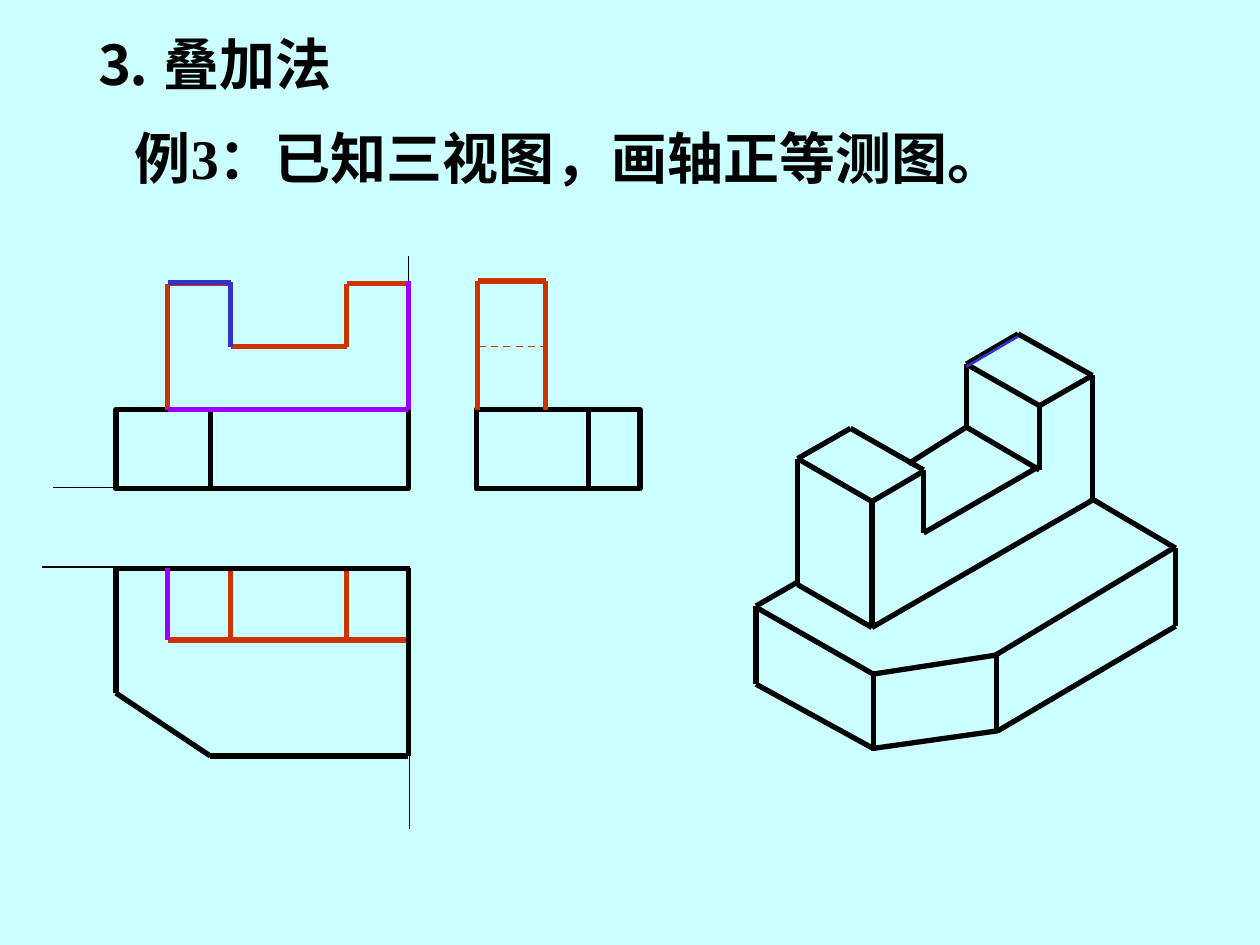
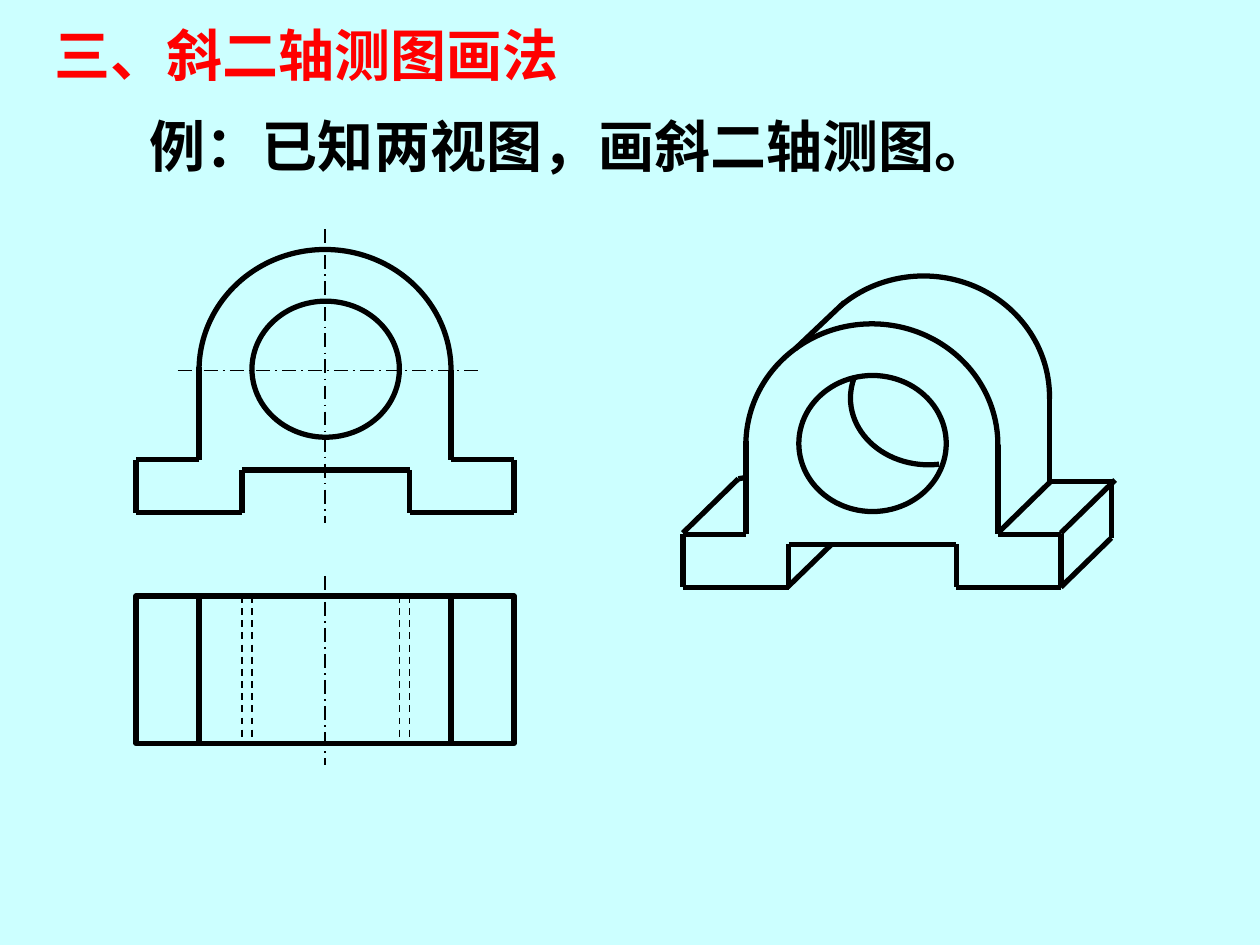
from dataclasses import dataclass
from itertools import pairwise

from lxml.etree import SubElement
from pptx import Presentation
from pptx.dml.color import RGBColor as RGB
from pptx.enum.dml import MSO_LINE as Dash
from pptx.enum.shapes import MSO_CONNECTOR as Conn, MSO_SHAPE as Shape
from pptx.enum.text import MSO_ANCHOR as Anchor, MSO_AUTO_SIZE as Fit, PP_ALIGN as Align
from pptx.oxml.ns import qn
from pptx.util import Cm, Pt


@dataclass(frozen=True)
class Theme:
    paper: str = "CCFFFF"
    ink: str = "000000"
    heading: str = "FF0000"
    upright: str = "CC3300"
    joint: str = "9900FF"
    notch: str = "3333CC"
    size: int = 32
    latin: str = "Times New Roman"
    cjk: str = "Noto Sans CJK SC"


T = Theme()

# Pens: colour, width in points, dash
PENS = {
    "outline": (T.ink, 3, None),
    "axis": (T.ink, 0.75, None),
    "hidden": (T.ink, 1, Dash.DASH),
    "centre": (T.ink, 1, Dash.LONG_DASH_DOT),
    "upright": (T.upright, 3, None),
    "upright hidden": (T.upright, 1, Dash.DASH),
    "joint": (T.joint, 3, None),
    "notch": (T.notch, 3, None),
    "notch thin": (T.notch, 1.5, None),
    "mask": (T.paper, 3, None),
}

# Texts: wording, box, colour, latin font
STACKING_TEXTS = [
    ("⒊ 叠加法", (0.65, 0.18, 2.1, 0.64), T.ink, T.latin),
    ("例3：已知三视图，画轴正等测图。", (0.97, 0.93, 7.31, 0.64), T.ink, T.latin),
]
OBLIQUE_TEXTS = [
    ("三、斜二轴测图画法", (0.33, 0.11, 4.3, 0.64), T.heading, T.cjk),
    ("例：已知两视图，画斜二轴测图。", (1.09, 0.83, 6.87, 0.64), T.ink, T.latin),
]

# Drawings: pen and the polylines drawn with it, on a 10 x 7.5 grid
THREE_VIEWS = [
    ("upright", [
        [(1.33, 3.25), (1.33, 2.25), (1.83, 2.25), (1.83, 2.75), (2.75, 2.75),
         (2.75, 2.25), (3.24, 2.25), (3.24, 3.25)],
        [(1.33, 4.5), (1.33, 5.08), (3.25, 5.08)],
        [(1.83, 4.5), (1.83, 5.08)],
        [(2.75, 4.5), (2.75, 5.08)],
        [(3.79, 3.25), (3.79, 2.23), (4.33, 2.23), (4.33, 3.25)],
    ]),
    ("upright hidden", [[(4.34, 2.75), (3.77, 2.75)]]),
    ("axis", [
        [(3.24, 2.03), (3.24, 3.87), (0.42, 3.87)],
        [(0.33, 4.5), (3.25, 4.5), (3.25, 6.58)],
    ]),
    ("outline", [
        [(0.92, 4.51), (3.24, 4.51), (3.24, 6), (1.67, 6), (0.92, 5.5), (0.92, 4.51)],
        [(1.67, 3.88), (1.67, 3.25)],
        [(4.67, 3.88), (4.67, 3.25)],
    ]),
    ("joint", [
        [(1.33, 3.25), (3.24, 3.25), (3.24, 2.23)],
        [(1.33, 4.51), (1.33, 5.08)],
    ]),
    ("notch", [[(1.33, 2.24), (1.83, 2.24), (1.83, 2.75)]]),
]
BASE_VIEWS = [(0.92, 3.25, 2.32, 0.63), (3.78, 3.25, 1.3, 0.63)]

ISOMETRIC = [
    ("outline", [
        # upright
        [(6.33, 3.64), (6.33, 4.64), (6.92, 4.98), (8.67, 3.97), (8.67, 2.98),
         (8.08, 2.65), (7.67, 2.89), (7.67, 3.39), (7.21, 3.68)],
        [(6.92, 4.98), (6.92, 3.98), (6.33, 3.64), (6.75, 3.4), (7.33, 3.73),
         (7.33, 4.23), (8.25, 3.7)],
        [(6.92, 3.98), (7.33, 3.74)],
        [(7.67, 2.89), (8.25, 3.22), (8.25, 3.73), (7.67, 3.39)],
        [(8.25, 3.22), (8.67, 2.98)],
        # base
        [(6.33, 4.62), (6, 4.81), (6, 5.43), (6.93, 5.94), (7.92, 5.8),
         (9.33, 4.97), (9.33, 4.35), (8.65, 3.95)],
        [(6, 4.82), (6.93, 5.35), (7.9, 5.2), (9.33, 4.34)],
        [(6.93, 5.33), (6.93, 5.96)],
        [(7.91, 5.2), (7.91, 5.82)],
    ]),
    ("notch thin", [[(7.67, 2.91), (8.08, 2.67)]]),
]

# Bearing face, measured from the corner of its arch
ARCH = (0, 0, 2, 1.92)
ARCH_MASK = (-0.16, 1, 2.33, 1.12)
HOLE = (0.42, 0.41, 1.17, 1.08)
PROFILE = [(0, 0.93), (0, 1.67), (-0.5, 1.67), (-0.5, 2.09), (0.34, 2.09), (0.34, 1.75),
           (1.67, 1.75), (1.67, 2.09), (2.5, 2.09), (2.5, 1.67), (2, 1.67), (2, 0.96)]
FRONT_VIEW, OBLIQUE_FRONT, OBLIQUE_BACK = (1.58, 1.98), (5.92, 2.57), (6.33, 2.19)

BACK_MASK = (5.83, 2.4, 0.83, 1)
HOLE_BACK_EDGE = (6.75, 2.63, 1.24, 1.06)
HOLE_BACK_ANGLES = (81, 195)
OBLIQUE_DEPTH = [
    ("outline", [
        [(7.92, 4.23), (8.35, 3.81)],
        [(6.25, 4.66), (6.6, 4.32)],
        [(8.33, 3.15), (8.33, 3.82), (8.83, 3.82)],
        [(8.42, 4.23), (8.85, 3.81)],
        [(8.42, 4.66), (8.82, 4.27), (8.82, 3.84)],
        [(5.42, 4.23), (5.86, 3.8), (5.92, 3.79)],
        [(6.31, 2.77), (6.7, 2.4)],
    ]),
]
PLAN = (1.08, 4.73, 3, 1.17)
PLAN_LINES = [
    (pen, [[(x, 4.73), (x, 5.9)] for x in xs])
    for pen, xs in [("outline", (1.58, 3.58)), ("hidden", (1.92, 2, 3.17, 3.25))]
]
CENTRE_LINES = [
    ("centre", [
        [(1.41, 2.94), (3.79, 2.94)],
        [(2.58, 1.82), (2.58, 4.15)],
        [(2.58, 4.57), (2.58, 6.07)],
    ]),
]


def grid(*values):
    """Turn grid units (a tenth of the slide width) into lengths."""
    return [Cm(2.54 * v) for v in values]


def shift(box, origin):
    return (box[0] + origin[0], box[1] + origin[1], *box[2:])


def apply(obj, **values):
    for name, value in values.items():
        setattr(obj, name, value)


def set_pen(line, pen):
    colour, width, dash = PENS[pen]
    line.color.rgb = RGB.from_string(colour)
    apply(line, width=Pt(width), dash_style=dash)


def add_lines(s, drawing):
    for pen, polylines in drawing:
        for polyline in polylines:
            for start, end in pairwise(polyline):
                line = s.shapes.add_connector(Conn.STRAIGHT, *grid(*start, *end))
                set_pen(line.line, pen)
                SubElement(line._element.spPr, qn("a:effectLst"))


def add_outline(s, kind, box, pen="outline"):
    sp = s.shapes.add_shape(kind, *grid(*box))
    sp.shadow.inherit = False
    if pen == "mask":
        sp.fill.solid()
        sp.fill.fore_color.rgb = RGB.from_string(T.paper)
    else:
        sp.fill.background()
    set_pen(sp.line, pen)
    return sp


def add_arch(s, origin):
    """Half an ellipse: its lower part is covered in the paper colour."""
    add_outline(s, Shape.OVAL, shift(ARCH, origin))
    add_outline(s, Shape.RECTANGLE, shift(ARCH_MASK, origin), "mask")


def add_face(s, origin):
    add_arch(s, origin)
    add_outline(s, Shape.OVAL, shift(HOLE, origin))
    add_lines(s, [("outline", [[shift(point, origin) for point in PROFILE]])])


def add_slide(prs, texts):
    s = prs.slides.add_slide(prs.slide_layouts[1])
    for sp, (text, box, colour, latin) in zip(s.placeholders, texts):
        left, top, width, height = grid(*box)
        apply(sp, left=left, top=top, width=width, height=height)
        tf = sp.text_frame
        apply(tf, word_wrap=False, auto_size=Fit.NONE, vertical_anchor=Anchor.MIDDLE,
              margin_right=0)
        p = tf.paragraphs[0]
        apply(p, alignment=Align.LEFT, space_before=Pt(0))
        pPr = p._p.get_or_add_pPr()
        for name in ("marL", "indent"):
            pPr.set(name, "0")
        SubElement(pPr, qn("a:buNone"))
        r = p.add_run()
        r.text = text
        apply(r.font, size=Pt(T.size), bold=True, name=latin)
        r.font.color.rgb = RGB.from_string(colour)
        SubElement(r._r.get_or_add_rPr(), qn("a:ea")).set("typeface", T.cjk)
    return s


def build_stacking(prs):
    s = add_slide(prs, STACKING_TEXTS)
    for box in BASE_VIEWS:
        add_outline(s, Shape.RECTANGLE, box)
    add_lines(s, THREE_VIEWS + ISOMETRIC)


def build_oblique(prs):
    s = add_slide(prs, OBLIQUE_TEXTS)
    add_arch(s, OBLIQUE_BACK)
    mask = add_outline(s, Shape.RIGHT_TRIANGLE, BACK_MASK, "mask")
    mask._element.spPr.xfrm.set("flipH", "1")
    add_face(s, OBLIQUE_FRONT)
    add_lines(s, OBLIQUE_DEPTH)
    edge = add_outline(s, Shape.ARC, HOLE_BACK_EDGE)
    for i, angle in enumerate(HOLE_BACK_ANGLES):
        edge.adjustments[i] = angle * 0.6  # 60000 units a degree, scaled by 100000
    add_face(s, FRONT_VIEW)
    add_outline(s, Shape.RECTANGLE, PLAN)
    add_lines(s, PLAN_LINES + CENTRE_LINES)


def main():
    prs = Presentation()
    apply(prs, slide_width=Cm(25.4), slide_height=Cm(19.05))
    fill = prs.slide_master.background.fill
    fill.solid()
    fill.fore_color.rgb = RGB.from_string(T.paper)
    build_stacking(prs)
    build_oblique(prs)
    prs.save("out.pptx")


if __name__ == "__main__":
    main()
